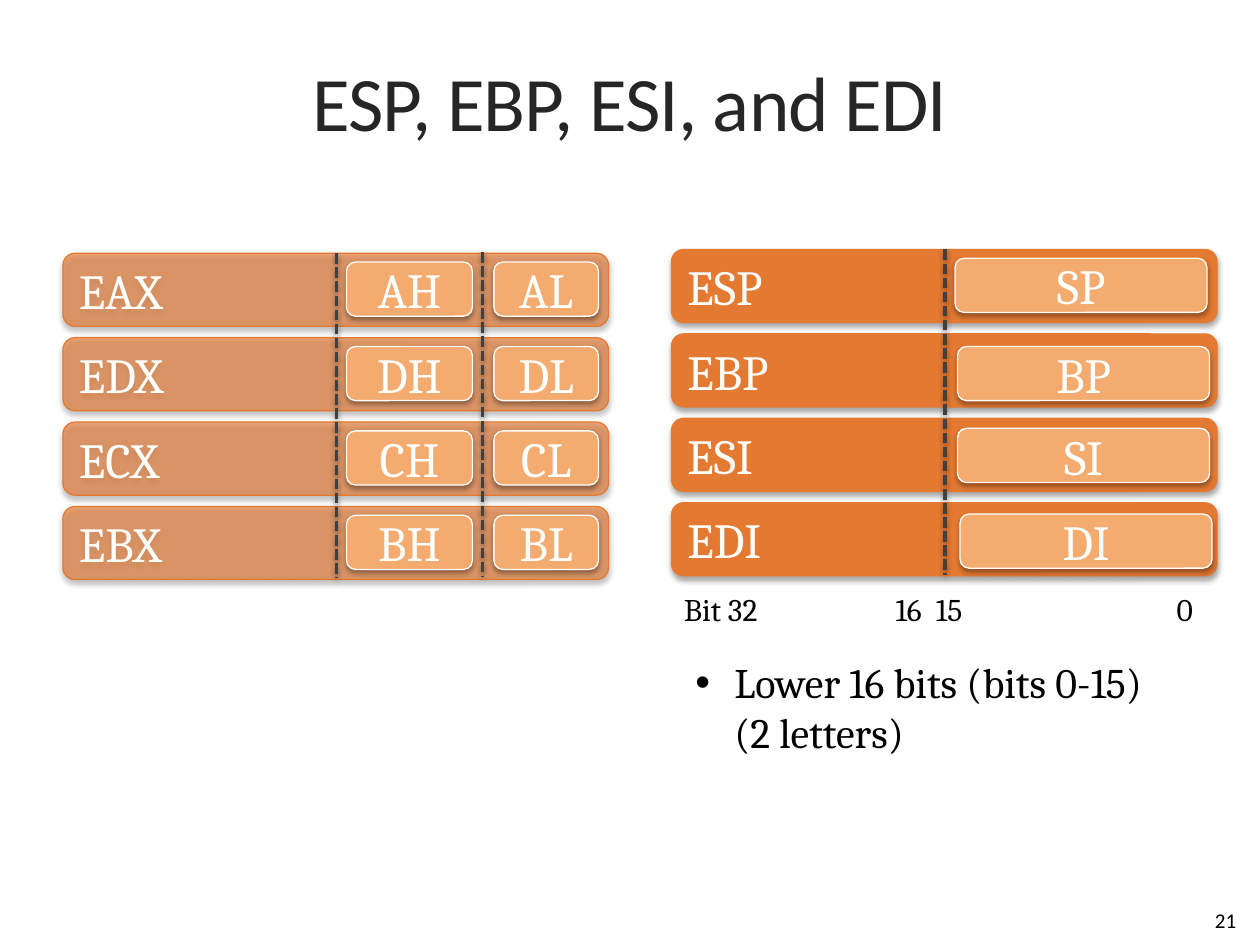
from dataclasses import dataclass

from lxml import etree
from pptx import Presentation
from pptx.dml.color import RGBColor
from pptx.enum.dml import MSO_LINE
from pptx.enum.shapes import MSO_CONNECTOR, MSO_SHAPE
from pptx.enum.text import MSO_ANCHOR, PP_ALIGN
from pptx.oxml.ns import qn
from pptx.util import Inches, Pt

ROUNDED = MSO_SHAPE.ROUNDED_RECTANGLE
STRAIGHT = MSO_CONNECTOR.STRAIGHT
DASHED = MSO_LINE.SQUARE_DOT
TOP, MIDDLE = MSO_ANCHOR.TOP, MSO_ANCHOR.MIDDLE
LEFT, CENTER, RIGHT = PP_ALIGN.LEFT, PP_ALIGN.CENTER, PP_ALIGN.RIGHT


@dataclass(frozen=True)
class Theme:
    register: str = "E47932"
    subregister: str = "F4AB70"
    light: str = "FFFFFE"
    divider: str = "404040"
    title: str = "262626"
    text: str = "000000"
    heading_font: str = "Calibri"
    body_font: str = "Cambria"
    title_size: int = 44
    register_size: int = 28
    body_size: int = 24
    scale_size: int = 18
    number_size: int = 12


THEME = Theme()
ROW_PITCH = 0.67
ROW_HEIGHT = 0.58
SUBREGISTER_HEIGHT = 0.43
SUBREGISTER_INSET = 0.07


def color(value):
    return RGBColor.from_string(value)


def add_child(parent, tag, **attributes):
    child = etree.SubElement(parent, qn(tag))
    for name, value in attributes.items():
        child.set(name, str(value))
    return child


def add_shadow(shape, distance, opacity):
    properties = shape._element.spPr
    effects = properties.find(qn("a:effectLst"))
    if effects is None:
        effects = add_child(properties, "a:effectLst")
    shadow = add_child(effects, "a:outerShdw", blurRad=Pt(3.1), dist=Pt(distance),
                       dir=90 * 60000, rotWithShape=0)
    black = add_child(shadow, "a:srgbClr", val="000000")
    add_child(black, "a:alpha", val=opacity * 1000)


def set_text(shape, text, size, font, text_color, alignment=LEFT, anchor=MIDDLE):
    frame = shape.text_frame
    frame.word_wrap = True
    frame.vertical_anchor = anchor
    frame.text = text
    paragraph = frame.paragraphs[0]
    paragraph.alignment = alignment
    for run in paragraph.runs:
        run.font.size = Pt(size)
        run.font.name = font
        run.font.color.rgb = color(text_color)
    return paragraph


def add_text(slide, box, *style):
    shape = slide.shapes.add_textbox(*map(Inches, box))
    return shape, set_text(shape, *style)


def add_bar(slide, box, label, fill, line, alignment, opacity=100):
    bar = slide.shapes.add_shape(ROUNDED, *map(Inches, box))
    bar.shadow.inherit = False
    bar.fill.solid()
    bar.fill.fore_color.rgb = color(fill)
    if opacity < 100:
        fill_color = bar._element.spPr.find(qn("a:solidFill"))[0]
        add_child(fill_color, "a:alpha", val=opacity * 1000)
    bar.line.color.rgb = color(line)
    bar.line.width = Pt(0.75)
    add_shadow(bar, 1.8, 35)
    set_text(bar, label, THEME.register_size, THEME.body_font, THEME.light, alignment)


def add_divider(slide, x, top, bottom):
    divider = slide.shapes.add_connector(STRAIGHT, *map(Inches, (x, top, x, bottom)))
    divider.line.color.rgb = color(THEME.divider)
    divider.line.width = Pt(2)
    divider.line.dash_style = DASHED
    add_shadow(divider, 1.6, 38)


def add_register_bank(slide, box, rows, dividers, opacity=100):
    """Rows hold a register name and its subregisters: label, x, width, y shift."""
    left, top, width, height = box
    for index, (name, subregisters) in enumerate(rows):
        row_top = top + index * ROW_PITCH
        add_bar(slide, (left, row_top, width, ROW_HEIGHT), name,
                THEME.register, THEME.register, LEFT, opacity)
    for x, shift in dividers:
        add_divider(slide, left + x, top + shift, top + shift + height)
    for index, (name, subregisters) in enumerate(rows):
        inner_top = top + index * ROW_PITCH + SUBREGISTER_INSET
        for label, x, inner_width, shift in subregisters:
            add_bar(slide, (left + x, inner_top + shift, inner_width, SUBREGISTER_HEIGHT),
                    label, THEME.subregister, THEME.light, CENTER)


def add_title(slide, box):
    shape, paragraph = add_text(slide, box, "ESP, EBP, ESI, and EDI", THEME.title_size,
                                THEME.heading_font, THEME.title, CENTER)
    shape.text_frame.margin_left = shape.text_frame.margin_right = 0
    paragraph.runs[0]._r.get_or_add_rPr().set("spc", "-50")


def add_bit_scale(slide, box):
    shape, paragraph = add_text(slide, box, "Bit 32\t16\t15\t0", THEME.scale_size,
                                THEME.body_font, THEME.text, LEFT, TOP)
    tabs = add_child(paragraph._p.get_or_add_pPr(), "a:tabLst")
    for position in (1.68, 2, 3.91):
        add_child(tabs, "a:tab", pos=Inches(position), algn="l")


def add_note(slide, box):
    shape, paragraph = add_text(slide, box, "Lower 16 bits (bits 0-15)\v(2 letters)",
                                THEME.body_size, THEME.body_font, THEME.text, LEFT, TOP)
    properties = paragraph._p.get_or_add_pPr()
    properties.set("marL", str(Inches(0.31)))
    properties.set("indent", str(-Inches(0.31)))
    add_child(properties, "a:buFont", typeface="Arial")
    add_child(properties, "a:buChar", char="•")


def add_page_number(slide, box):
    add_text(slide, box, "21", THEME.number_size, THEME.heading_font, THEME.text, RIGHT)


def build_slide(presentation):
    slide = presentation.slides.add_slide(presentation.slide_layouts[6])
    add_title(slide, (0.5, 0.17, 9, 1.25))
    add_page_number(slide, (7.58, 7.1, 2.33, 0.4))

    # General registers, split into high and low bytes
    general = [(f"E{letter}X", [(f"{letter}H", 2.25, 1, 0), (f"{letter}L", 3.42, 0.83, 0)])
               for letter in "ADCB"]
    add_register_bank(slide, (0.5, 2.01, 4.33, 2.58), general,
                      [(2.17, 0), (3.33, -0.01)], opacity=65)

    # Pointer and index registers, with their lower 16 bits
    placements = [("SP", 2.25, 0), ("BP", 2.27, 0.03), ("SI", 2.27, 0.01), ("DI", 2.29, 0.02)]
    pointers = [(f"E{label}", [(label, x, 2, shift)]) for label, x, shift in placements]
    add_register_bank(slide, (5.33, 1.98, 4.33, 2.58), pointers, [(2.17, 0)])

    # Bit positions and explanation
    add_bit_scale(slide, (5.33, 4.63, 4.5, 0.4))
    add_note(slide, (5.42, 5.16, 4.33, 0.91))


presentation = Presentation()
presentation.slide_width = Inches(10)
presentation.slide_height = Inches(7.5)
build_slide(presentation)
presentation.save("out.pptx")
